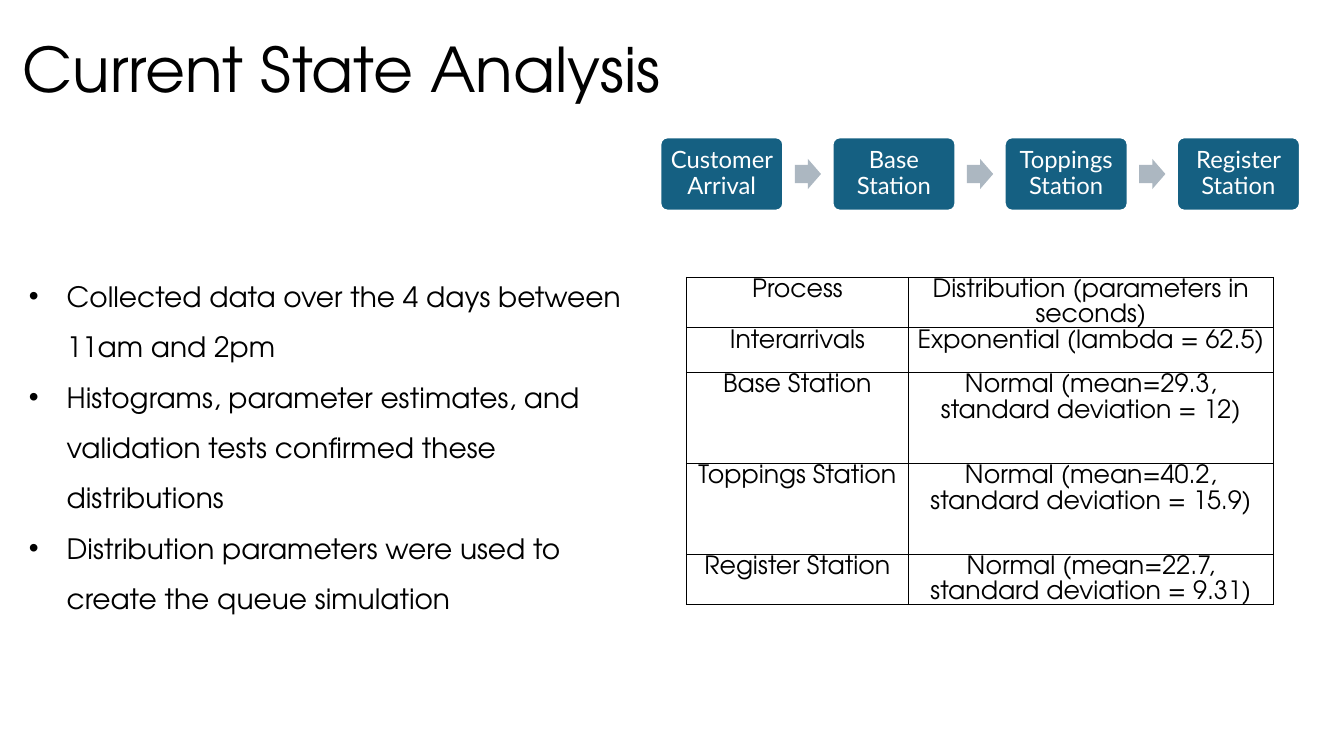
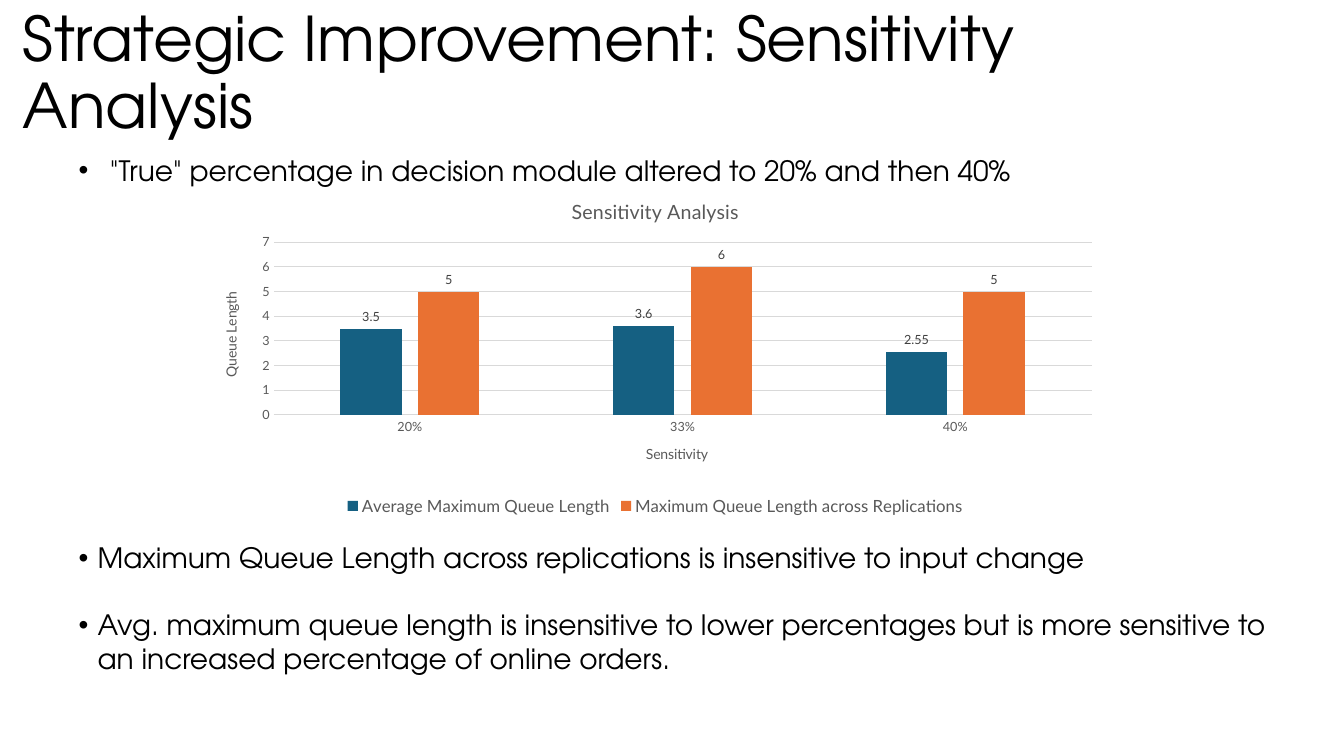
import pptx
import pptx.chart.data
import pptx.dml.color
import pptx.enum.chart
import pptx.enum.shapes
import pptx.enum.text
import pptx.oxml
import pptx.oxml.ns
import pptx.util
from pptx.util import Cm, Pt

COLOURS = {
    "text": "000000",
    "white": "FFFFFF",
    "blue": "156082",
    "orange": "E97132",
    "arrow": "ACB7C1",
    "axis_text": "595959",
    "label_text": "404040",
    "grid": "D9D9D9",
}
HEADING_FONT = "TeX Gyre Adventor"
DIAGRAM_FONT = "Lato"
ALIGN = pptx.enum.text.PP_ALIGN
ANCHOR = pptx.enum.text.MSO_ANCHOR
SHAPE = pptx.enum.shapes.MSO_SHAPE

STATIONS = ["Customer Arrival", "Base Station", "Toppings Station", "Register Station"]
DISTRIBUTIONS = [
    ("Process", "Distribution (parameters in seconds)"),
    ("Interarrivals", "Exponential (lambda = 62.5)"),
    ("Base Station", "Normal (mean=29.3, standard deviation = 12)"),
    ("Toppings Station", "Normal (mean=40.2, standard deviation = 15.9)"),
    ("Register Station", "Normal (mean=22.7, standard deviation = 9.31)"),
]
FINDINGS = [
    "Collected data over the 4 days between 11am and 2pm",
    "Histograms, parameter estimates, and validation tests confirmed these distributions",
    "Distribution parameters were used to create the queue simulation",
]
CONCLUSIONS = [
    "Maximum Queue Length across replications is insensitive to input change",
    "Avg. maximum queue length is insensitive to lower percentages but is more "
    "sensitive to an increased percentage of online orders.",
]
QUEUE_LENGTHS = [
    ("Average Maximum Queue Length", (3.5, 3.6, 2.55), "blue"),
    ("Maximum Queue Length across Replications", (5, 6, 5), "orange"),
]


def rgb(colour):
    return pptx.dml.color.RGBColor.from_string(COLOURS[colour])


def set_font(font, name, size, colour):
    font.name = name
    font.size = Pt(size)
    font.bold = False
    font.color.rgb = rgb(colour)


def add_text_frame(slide, left, top, width, height):
    box = slide.shapes.add_textbox(Cm(left), Cm(top), Cm(width), Cm(height))
    box.text_frame.word_wrap = True
    return box.text_frame


def add_title(slide, text, top=0):
    frame = add_text_frame(slide, 0.32, top, 29.2, 3.68)
    frame.vertical_anchor = ANCHOR.MIDDLE
    paragraph = frame.paragraphs[0]
    paragraph.text = text
    paragraph.line_spacing = 0.9
    set_font(paragraph.font, HEADING_FONT, 44, "text")


def add_bullets(slide, texts, box, indent, line_spacing=1.0, gap=0):
    """Write bulleted paragraphs, gap points apart, with a hanging indent in cm."""
    frame = add_text_frame(slide, *box)
    for index, text in enumerate(texts):
        paragraph = frame.add_paragraph() if index else frame.paragraphs[0]
        paragraph.text = text
        properties = paragraph._p.get_or_add_pPr()
        properties.set("marL", str(Cm(indent)))
        properties.set("indent", str(-Cm(indent)))
        for tag, key, value in (("buFont", "typeface", "Arial"), ("buChar", "char", "•")):
            element = pptx.oxml.parse_xml(f"<a:{tag} {pptx.oxml.ns.nsdecls('a')}/>")
            element.set(key, value)
            properties.append(element)
        paragraph.line_spacing = line_spacing
        if index:
            paragraph.space_before = Pt(gap)
        set_font(paragraph.font, HEADING_FONT, 20, "text")


def add_filled_shape(slide, kind, box, colour, adjustments):
    shape = slide.shapes.add_shape(kind, *(Cm(length) for length in box))
    shape.shadow.inherit = False
    shape.fill.solid()
    shape.fill.fore_color.rgb = rgb(colour)
    shape.line.fill.background()
    for index, value in enumerate(adjustments):
        shape.adjustments[index] = value
    return shape


def add_process(slide, steps):
    """Draw a row of rounded boxes with an arrow between neighbours."""
    left, top, width, height, pitch = 16.64, 3.46, 3.1, 1.85, 4.34
    arrow_width, arrow_height = 0.66, 0.76
    for index, step in enumerate(steps):
        step_left = left + index * pitch
        if index:
            arrow_left = step_left - (pitch - width + arrow_width) / 2
            arrow_top = top + (height - arrow_height) / 2
            add_filled_shape(slide, SHAPE.RIGHT_ARROW,
                             (arrow_left, arrow_top, arrow_width, arrow_height),
                             "arrow", (0.6, 0.5))
        shape = add_filled_shape(slide, SHAPE.ROUNDED_RECTANGLE,
                                 (step_left, top, width, height), "blue", (0.1,))
        shape.line.color.rgb = rgb("white")
        shape.line.width = Pt(1.5)
        frame = shape.text_frame
        frame.word_wrap = True
        frame.vertical_anchor = ANCHOR.MIDDLE
        frame.margin_left = frame.margin_right = Cm(0.18)
        paragraph = frame.paragraphs[0]
        paragraph.text = step
        paragraph.alignment = ALIGN.CENTER
        paragraph.line_spacing = 0.9
        set_font(paragraph.font, DIAGRAM_FONT, 17, "white")


def add_cell_borders(cell):
    properties = cell._tc.get_or_add_tcPr()
    for index, side in enumerate(("lnL", "lnR", "lnT", "lnB")):
        properties.insert(index, pptx.oxml.parse_xml(
            f'<a:{side} {pptx.oxml.ns.nsdecls("a")} w="{Pt(1)}"><a:solidFill>'
            f'<a:srgbClr val="{COLOURS["text"]}"/></a:solidFill></a:{side}>'))


def add_distribution_table(slide, rows):
    column_widths = (5.59, 9.2)
    row_heights = (1.27, 1.13, 2.29, 2.29, 1.27)
    table = slide.shapes.add_table(
        len(rows), len(column_widths), Cm(17.3), Cm(6.99),
        Cm(sum(column_widths)), Cm(sum(row_heights))).table
    table.first_row = table.horz_banding = False
    for column, width in zip(table.columns, column_widths):
        column.width = Cm(width)
    for row, height, texts in zip(table.rows, row_heights, rows):
        row.height = Cm(height)
        for cell, text in zip(row.cells, texts):
            cell.fill.background()
            add_cell_borders(cell)
            cell.margin_left = cell.margin_right = Cm(0.18)
            cell.margin_top = cell.margin_bottom = 0
            paragraph = cell.text_frame.paragraphs[0]
            paragraph.text = text
            paragraph.alignment = ALIGN.CENTER
            paragraph.line_spacing = Pt(18)
            set_font(paragraph.font, HEADING_FONT, 18, "text")


def set_chart_title(owner, text, size):
    """Title a chart or an axis."""
    owner.has_title = True
    title = owner.chart_title if hasattr(owner, "chart_title") else owner.axis_title
    paragraph = title.text_frame.paragraphs[0]
    paragraph.text = text
    set_font(paragraph.font, DIAGRAM_FONT, size, "axis_text")


def style_axis(axis, title):
    set_chart_title(axis, title, 10)
    axis.major_tick_mark = axis.minor_tick_mark = pptx.enum.chart.XL_TICK_MARK.NONE
    set_font(axis.tick_labels.font, DIAGRAM_FONT, 9, "axis_text")


def set_plot_layout(chart, x, y, w, h):
    """Fix the inner plot area, in fractions of the chart."""
    plot_area = chart._chartSpace.chart.plotArea
    for layout in plot_area.findall(pptx.oxml.ns.qn("c:layout")):
        plot_area.remove(layout)
    sizes = "".join(f'<c:{key} val="{value}"/>' for key, value in zip("xywh", (x, y, w, h)))
    plot_area.insert(0, pptx.oxml.parse_xml(
        f'<c:layout {pptx.oxml.ns.nsdecls("c")}><c:manualLayout>'
        '<c:layoutTarget val="inner"/><c:xMode val="edge"/><c:yMode val="edge"/>'
        f'{sizes}</c:manualLayout></c:layout>'))


def add_sensitivity_chart(slide):
    data = pptx.chart.data.CategoryChartData()
    data.categories = ["20%", "33%", "40%"]
    for name, values, _ in QUEUE_LENGTHS:
        data.add_series(name, values)
    chart = slide.shapes.add_chart(
        pptx.enum.chart.XL_CHART_TYPE.COLUMN_CLUSTERED,
        Cm(5.06), Cm(4.57), Cm(22.91), Cm(8.53), data).chart
    set_font(chart.font, DIAGRAM_FONT, 10, "text")
    set_chart_title(chart, "Sensitivity Analysis", 14)
    set_plot_layout(chart, 0.08, 0.18, 0.9, 0.51)

    style_axis(chart.category_axis, "Sensitivity")
    chart.category_axis.format.line.color.rgb = rgb("grid")
    chart.category_axis.format.line.width = Pt(0.75)
    value_axis = chart.value_axis
    style_axis(value_axis, "Queue Length")
    value_axis.minimum_scale, value_axis.maximum_scale, value_axis.major_unit = 0, 7, 1
    value_axis.format.line.fill.background()
    value_axis.major_gridlines.format.line.color.rgb = rgb("grid")
    value_axis.major_gridlines.format.line.width = Pt(0.75)

    chart.has_legend = True
    chart.legend.position = pptx.enum.chart.XL_LEGEND_POSITION.BOTTOM
    chart.legend.include_in_layout = False
    set_font(chart.legend.font, DIAGRAM_FONT, 12, "axis_text")

    plot = chart.plots[0]
    plot.gap_width, plot.overlap = 219, -27
    plot.vary_by_categories = False
    for series, (_, _, colour) in zip(plot.series, QUEUE_LENGTHS):
        series.format.fill.solid()
        series.format.fill.fore_color.rgb = rgb(colour)
        labels = series.data_labels
        labels.show_value = True
        labels.position = pptx.enum.chart.XL_LABEL_POSITION.OUTSIDE_END
        set_font(labels.font, DIAGRAM_FONT, 9, "label_text")


def add_current_state_slide(presentation):
    slide = presentation.slides.add_slide(presentation.slide_layouts[6])
    add_title(slide, "Current State Analysis")
    add_process(slide, STATIONS)
    add_distribution_table(slide, DISTRIBUTIONS)
    add_bullets(slide, FINDINGS, (0.48, 6.49, 15.52, 9.07), 0.95, line_spacing=1.5)


def add_sensitivity_slide(presentation):
    slide = presentation.slides.add_slide(presentation.slide_layouts[6])
    add_title(slide, "Strategic Improvement: Sensitivity Analysis", top=0.05)
    add_bullets(slide, ['"True" percentage in decision module altered to 20% and then 40%'],
                (1.73, 3.74, 27.08, 1.12), 0.79)
    add_sensitivity_chart(slide)
    add_bullets(slide, CONCLUSIONS, (1.73, 13.5, 30.89, 3.67), 0.48, gap=24)


def main():
    presentation = pptx.Presentation()
    presentation.slide_width = Cm(33.87)
    presentation.slide_height = Cm(19.05)
    add_current_state_slide(presentation)
    add_sensitivity_slide(presentation)
    presentation.save("out.pptx")


if __name__ == "__main__":
    main()
